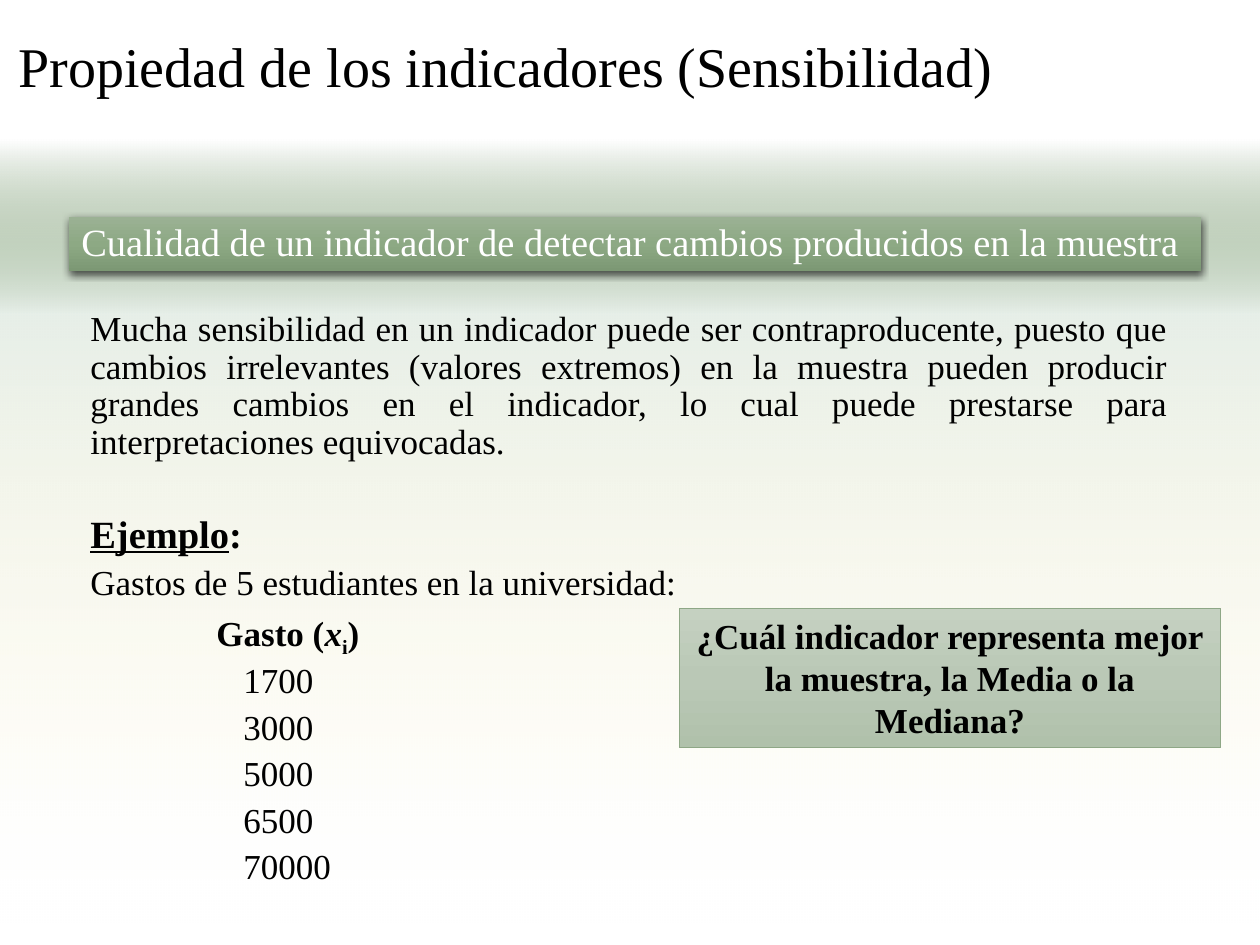
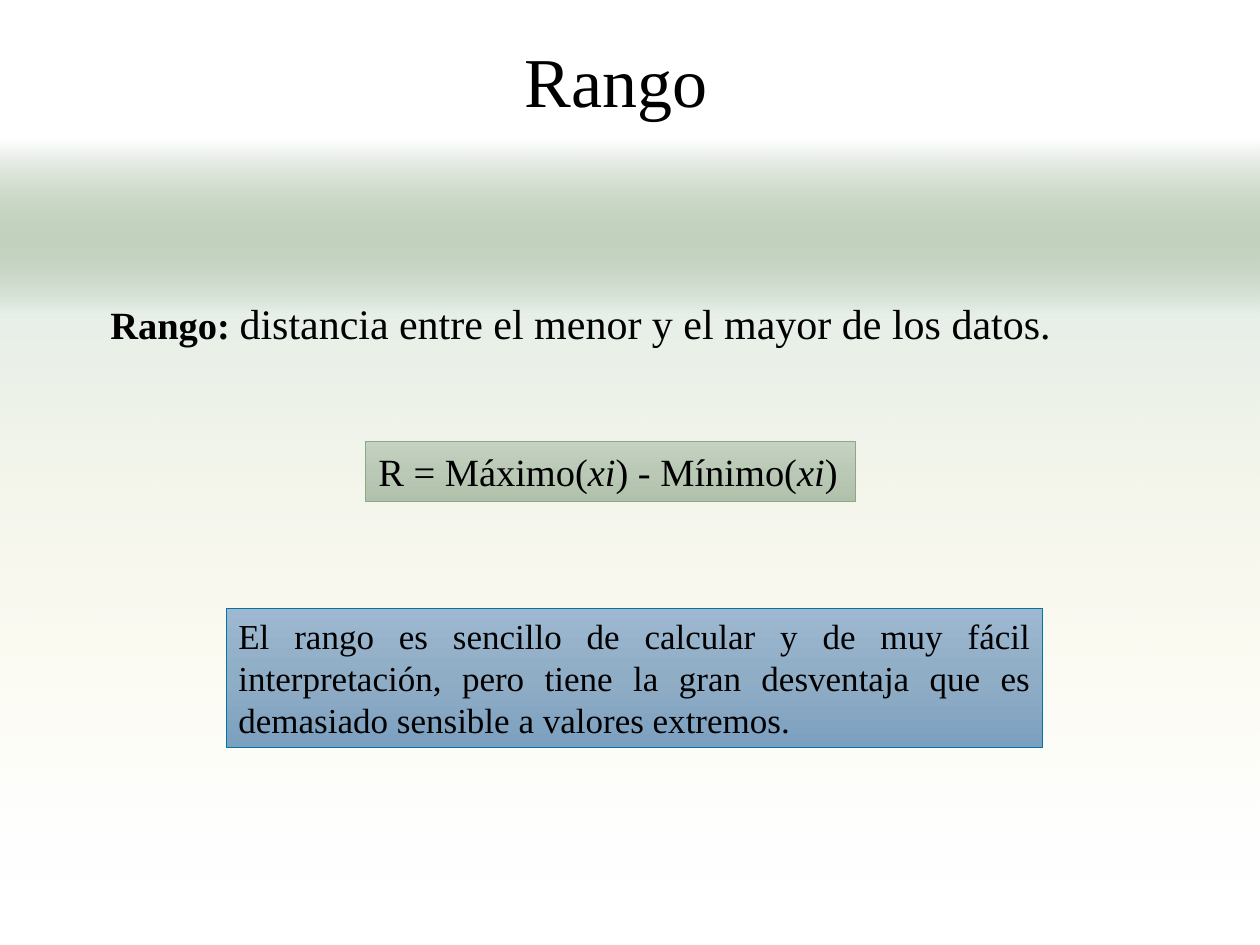
"""Build two statistics slides: sensitivity of indicators and the range."""
from dataclasses import dataclass

from lxml.etree import SubElement
from pptx import Presentation
from pptx.dml.color import RGBColor
from pptx.enum.shapes import MSO_SHAPE
from pptx.enum.text import MSO_ANCHOR, PP_ALIGN
from pptx.oxml.ns import qn
from pptx.util import Emu, Pt


@dataclass(frozen=True)
class Theme:
    font: str = "Times New Roman"
    black: str = "000000"
    white: str = "FFFFFF"
    title_size: int = 40
    long_title_size: int = 32
    definition_size: int = 24
    lead_size: int = 22
    body_size: int = 20
    tight: float = 0.9
    paragraph_gap: int = 5
    section_gap: int = 30


THEME = Theme()
SLIDE_SIZE = (1260, 945)
TEAL, YELLOW, GREEN = "47939C", "FCD116", "547730"

BACKGROUND = [
    ((0, 140, 1260, 805), [(0, TEAL, 7), (100, YELLOW, 0)]),
    ((0, 140, 1260, 684), [(0, TEAL, 17), (100, YELLOW, 0)]),
    ((0, 140, 1260, 173), [(0, THEME.white, 100), (100, GREEN, 0)]),
]
PANELS = {
    "strong": (("9BB194", "8DA984", "7C9874"), None),
    "green": (("C5D1C1", "BAC8B6", "B0C1AB"), "8EA786"),
    "blue": (("9DB8D0", "90ADC6", "7CA0BF"), "0076A3"),
}

BOLD = {"bold": True}
ITALIC = {"italic": True}
LEAD = {"size": THEME.lead_size}
JUSTIFY = {"align": PP_ALIGN.JUSTIFY}
TIGHT_JUSTIFY = {"align": PP_ALIGN.JUSTIFY, "spacing": THEME.tight}
CENTER = {"align": PP_ALIGN.CENTER}
EXPENSES = [1700, 3000, 5000, 6500, 70000]


def line(*runs, **layout):
    return {"runs": [(run, {}) if isinstance(run, str) else run for run in runs], **layout}


def body_line(*runs, before=THEME.paragraph_gap, **layout):
    return line(*runs, before=before, **TIGHT_JUSTIFY, **layout)


SENSITIVITY = {
    "title": ("Propiedad de los indicadores (Sensibilidad)",
              (0, -14, 1012, 158), THEME.long_title_size),
    "texts": [((78, 305, 1102, 591), [
        body_line("Mucha sensibilidad en un indicador puede ser contraproducente, puesto que "
                  "cambios irrelevantes (valores extremos) en la muestra pueden producir grandes "
                  "cambios en el indicador, lo cual puede prestarse para interpretaciones "
                  "equivocadas.", before=0),
        body_line(("Ejemplo", {**LEAD, **BOLD, "underline": True}), (":", {**LEAD, **BOLD}),
                  before=THEME.section_gap),
        body_line("Gastos de 5 estudiantes en la universidad:"),
        body_line(("Gasto (", BOLD), ("x", {**BOLD, **ITALIC}),
                  ("i", {**BOLD, "baseline": -25000}), (")", BOLD), margin=126),
        *[body_line(str(expense), margin=153) for expense in EXPENSES],
    ])],
    "panels": [
        ("strong", (69, 217, 1132, 54), [
            line(("Cualidad de un indicador de detectar cambios producidos en la muestra",
                  {**LEAD, "color": THEME.white}), **TIGHT_JUSTIFY)]),
        ("green", (679, 608, 542, 140), [
            line(("¿Cuál indicador representa mejor la muestra, la Media o la Mediana?", BOLD),
                 **CENTER)]),
    ],
}
RANGE = {
    "title": ("Rango", (49, 0, 1134, 158), THEME.title_size),
    "texts": [((98, 291, 1043, 63), [
        line(("Rango: ", {**LEAD, **BOLD}),
             ("distancia entre el menor y el mayor de los datos.",
              {"size": THEME.definition_size}))])],
    "panels": [
        ("green", (366, 442, 490, 60), [
            line(("R = Máximo(", LEAD), ("xi", {**LEAD, **ITALIC}), (") - Mínimo(", LEAD),
                 ("xi", {**LEAD, **ITALIC}), (")", LEAD))]),
        ("blue", (226, 608, 817, 140), [
            line("El rango es sencillo de calcular y de muy fácil interpretación, pero tiene "
                 "la gran desventaja que es demasiado sensible a valores extremos.",
                 **JUSTIFY)]),
    ],
}


def px(length):
    return Emu(round(length * 914400 / 126))


def add_color(parent, color, opacity):
    element = SubElement(parent, qn("a:srgbClr"), val=color)
    if opacity < 100:
        SubElement(element, qn("a:alpha"), val=str(opacity * 1000))


def set_gradient(shape, stops):
    shape.fill.gradient()
    shape.fill.gradient_angle = 270
    stop_list = shape._element.spPr.find(qn("a:gradFill")).find(qn("a:gsLst"))
    for old_stop in list(stop_list):
        stop_list.remove(old_stop)
    for position, color, opacity in stops:
        stop = SubElement(stop_list, qn("a:gs"), pos=str(position * 1000))
        add_color(stop, color, opacity)


def add_gradient_box(slide, box, stops, outline=None):
    shape = slide.shapes.add_shape(MSO_SHAPE.RECTANGLE, *map(px, box))
    shape.shadow.inherit = False
    set_gradient(shape, stops)
    if outline:
        shape.line.color.rgb = RGBColor.from_string(outline)
        shape.line.width = Pt(0.5)
    else:
        shape.line.fill.background()
    return shape


def add_drop_shadow(shape):
    effects = shape._element.spPr.find(qn("a:effectLst"))
    shadow = SubElement(effects, qn("a:outerShdw"), blurRad=str(Pt(4.5)),
                        dist=str(Pt(1.5)), dir="5400000", rotWithShape="0")
    add_color(shadow, THEME.black, 63)


def write_run(paragraph, text, style):
    run = paragraph.add_run()
    run.text = text
    font = run.font
    font.name = THEME.font
    font.size = Pt(style.get("size", THEME.body_size))
    font.color.rgb = RGBColor.from_string(style.get("color", THEME.black))
    for name in ("bold", "italic", "underline"):
        setattr(font, name, style.get(name, False))
    if "baseline" in style:
        run._r.get_or_add_rPr().set("baseline", str(style["baseline"]))


def write_lines(shape, lines, anchor=MSO_ANCHOR.TOP):
    frame = shape.text_frame
    frame.word_wrap = True
    frame.vertical_anchor = anchor
    for index, content in enumerate(lines):
        paragraph = frame.add_paragraph() if index else frame.paragraphs[0]
        paragraph.alignment = content.get("align", PP_ALIGN.LEFT)
        paragraph.line_spacing = content.get("spacing", 1.0)
        paragraph.space_before = Pt(content.get("before", 0))
        if "margin" in content:
            properties = paragraph._p.get_or_add_pPr()
            properties.set("marL", str(px(content["margin"])))
            properties.set("indent", "0")
        for text, style in content["runs"]:
            write_run(paragraph, text, style)


def add_text(slide, box, lines, anchor=MSO_ANCHOR.TOP):
    write_lines(slide.shapes.add_textbox(*map(px, box)), lines, anchor)


def add_panel(slide, kind, box, lines):
    colors, outline = PANELS[kind]
    stops = [(index * 50, color, 100) for index, color in enumerate(colors)]
    panel = add_gradient_box(slide, box, stops, outline)
    if kind == "strong":
        add_drop_shadow(panel)
    write_lines(panel, lines)


def build_slide(presentation, content):
    slide = presentation.slides.add_slide(presentation.slide_layouts[6])
    for box, stops in BACKGROUND:
        add_gradient_box(slide, box, stops)
    title, box, size = content["title"]
    add_text(slide, box, [line((title, {"size": size}), **CENTER)], MSO_ANCHOR.MIDDLE)
    for box, lines in content["texts"]:
        add_text(slide, box, lines)
    for kind, box, lines in content["panels"]:
        add_panel(slide, kind, box, lines)


def main():
    presentation = Presentation()
    presentation.slide_width, presentation.slide_height = map(px, SLIDE_SIZE)
    for content in (SENSITIVITY, RANGE):
        build_slide(presentation, content)
    presentation.save("out.pptx")


if __name__ == "__main__":
    main()
